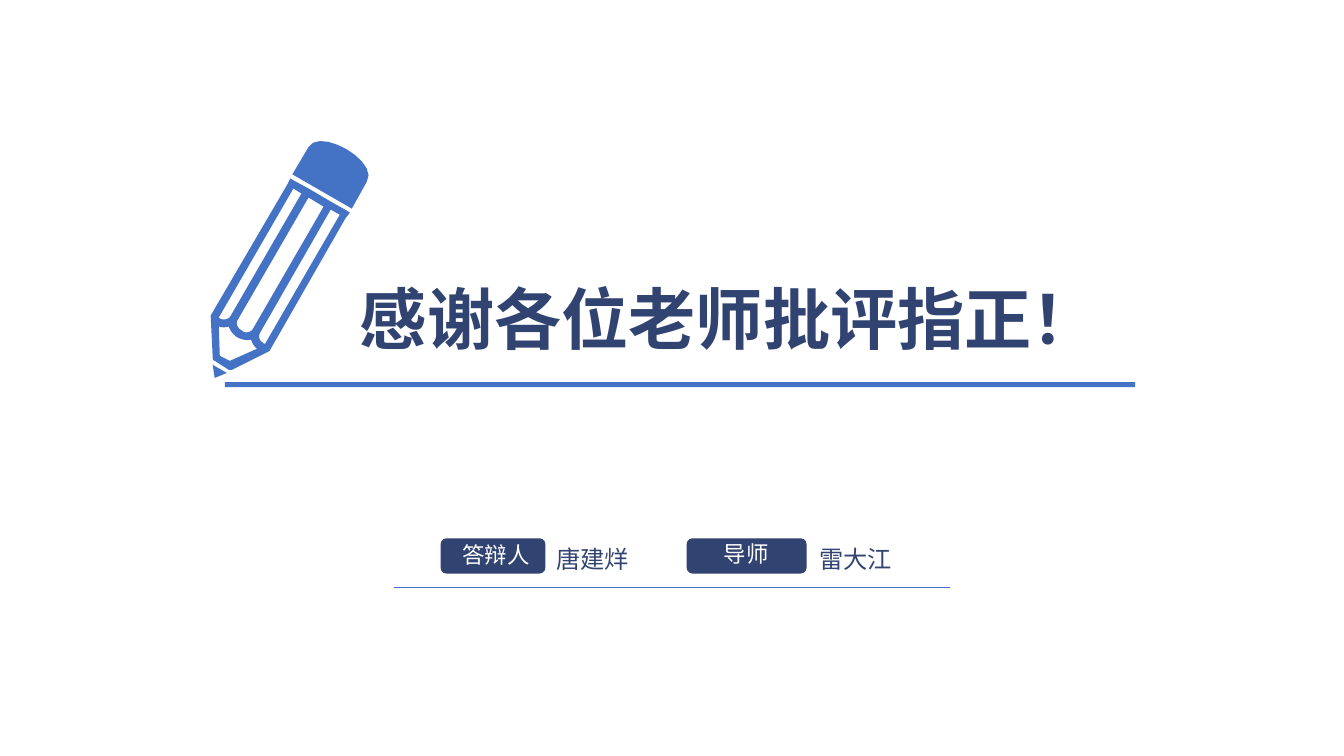
import pptx
import pptx.util
import pptx.dml.color
import pptx.enum.shapes
import pptx.enum.text
import lxml.etree

PX = 9144
BLUE = pptx.dml.color.RGBColor(0x44, 0x72, 0xC4)
NAVY = pptx.dml.color.RGBColor(0x31, 0x43, 0x71)
WHITE = pptx.dml.color.RGBColor(0xFF, 0xFF, 0xFF)
FONT = "Noto Sans CJK SC"
SHAPES = pptx.enum.shapes.MSO_SHAPE
CURVE_STEPS = 10

deck = pptx.Presentation()
deck.slide_width = 1333 * PX
deck.slide_height = 750 * PX
slide = deck.slides.add_slide(deck.slide_layouts[6])


def trace(outline):
    points = []
    for step in outline:
        if len(step) == 2:
            points.append((step[0] * PX, step[1] * PX))
            continue
        x0, y0 = points[-1]
        x1, y1, x2, y2, x3, y3 = [value * PX for value in step]
        for i in range(1, CURVE_STEPS + 1):
            t = i / CURVE_STEPS
            u = 1 - t
            points.append((
                u**3 * x0 + 3 * u * u * t * x1 + 3 * u * t * t * x2 + t**3 * x3,
                u**3 * y0 + 3 * u * u * t * y1 + 3 * u * t * t * y2 + t**3 * y3,
            ))
    return points


def paint(part, color):
    part.shadow.inherit = False
    part.fill.solid()
    part.fill.fore_color.rgb = color
    part.line.fill.background()


eraser = [[(306, 146), (317, 126, 376, 160, 364, 180), (349, 207), (290, 173)]]
barrel = [
    [(209, 315), (211, 355), (211, 357, 212, 358, 213, 358), (227, 367),
     (228, 367, 229, 367, 230, 367), (266, 349), (267, 348, 268, 348, 268, 347),
     (343, 216), (347, 211), (344, 209), (328, 200), (306, 187), (291, 179),
     (288, 177), (285, 183), (209, 313)],
    [(217, 315), (291, 187), (299, 192), (229, 313), (227, 317, 222, 318, 218, 316)],
    [(228, 358), (218, 353), (217, 324), (220, 325, 224, 325, 227, 324),
     (228, 328, 232, 333, 236, 335), (240, 337, 245, 338, 249, 337),
     (250, 340, 252, 344, 255, 346)],
    [(236, 317), (306, 196), (321, 205), (251, 326), (249, 330, 243, 331, 240, 328),
     (236, 326, 233, 321, 236, 317)],
    [(263, 341), (262, 341, 261, 341, 261, 340), (257, 338, 256, 334, 258, 330),
     (328, 208), (337, 213)],
]
tip = [[(225, 370), (211, 362), (213, 375)]]

for pencil_part in (eraser, barrel, tip):
    builder = None
    for outline in pencil_part:
        start, *rest = trace(outline)
        if builder is None:
            builder = slide.shapes.build_freeform(*start, scale=1.0)
        else:
            builder.move_to(*start)
        builder.add_line_segments(rest, close=True)
    paint(builder.convert_to_shape(), BLUE)

for kind, left, top, width, height, color in (
    (SHAPES.RECTANGLE, 223, 379, 903, 5, BLUE),
    (SHAPES.ROUNDED_RECTANGLE, 437, 534, 104, 35, NAVY),
    (SHAPES.ROUNDED_RECTANGLE, 681, 534, 119, 35, NAVY),
):
    block = slide.shapes.add_shape(kind, left * PX, top * PX, width * PX, height * PX)
    paint(block, color)

names_rule = slide.shapes.add_connector(
    pptx.enum.shapes.MSO_CONNECTOR.STRAIGHT, 391 * PX, 583 * PX, 942 * PX, 583 * PX)
names_rule.line.color.rgb = BLUE
names_rule.line.width = pptx.util.Pt(1)
lxml.etree.SubElement(names_rule._element.spPr, pptx.oxml.ns.qn("a:effectLst"))

for wording, left, top, width, height, size, color, bold, spacing in (
    ("感谢各位老师批评指正！", 347, 270, 761, 91, 48, NAVY, True, 1.0),
    ("答辩人", 449, 532, 88, 37, 16, WHITE, False, 1.0),
    ("导师", 708, 531, 65, 37, 16, WHITE, False, 1.0),
    ("唐建烊", 542, 526, 93, 44, 17.3, NAVY, False, 1.3),
    ("雷大江", 803, 526, 93, 44, 17.3, NAVY, False, 1.3),
):
    box = slide.shapes.add_textbox(left * PX, top * PX, width * PX, height * PX)
    box.text_frame.word_wrap = False
    box.text_frame.auto_size = pptx.enum.text.MSO_AUTO_SIZE.SHAPE_TO_FIT_TEXT
    paragraph = box.text_frame.paragraphs[0]
    paragraph.line_spacing = spacing
    run = paragraph.add_run()
    run.text = wording
    run.font.color.rgb = color
    for key, value in {"name": FONT, "size": pptx.util.Pt(size), "bold": bold}.items():
        setattr(run.font, key, value)
    east_asian = lxml.etree.SubElement(run.font._element, pptx.oxml.ns.qn("a:ea"))
    east_asian.set("typeface", FONT)

deck.save("out.pptx")
